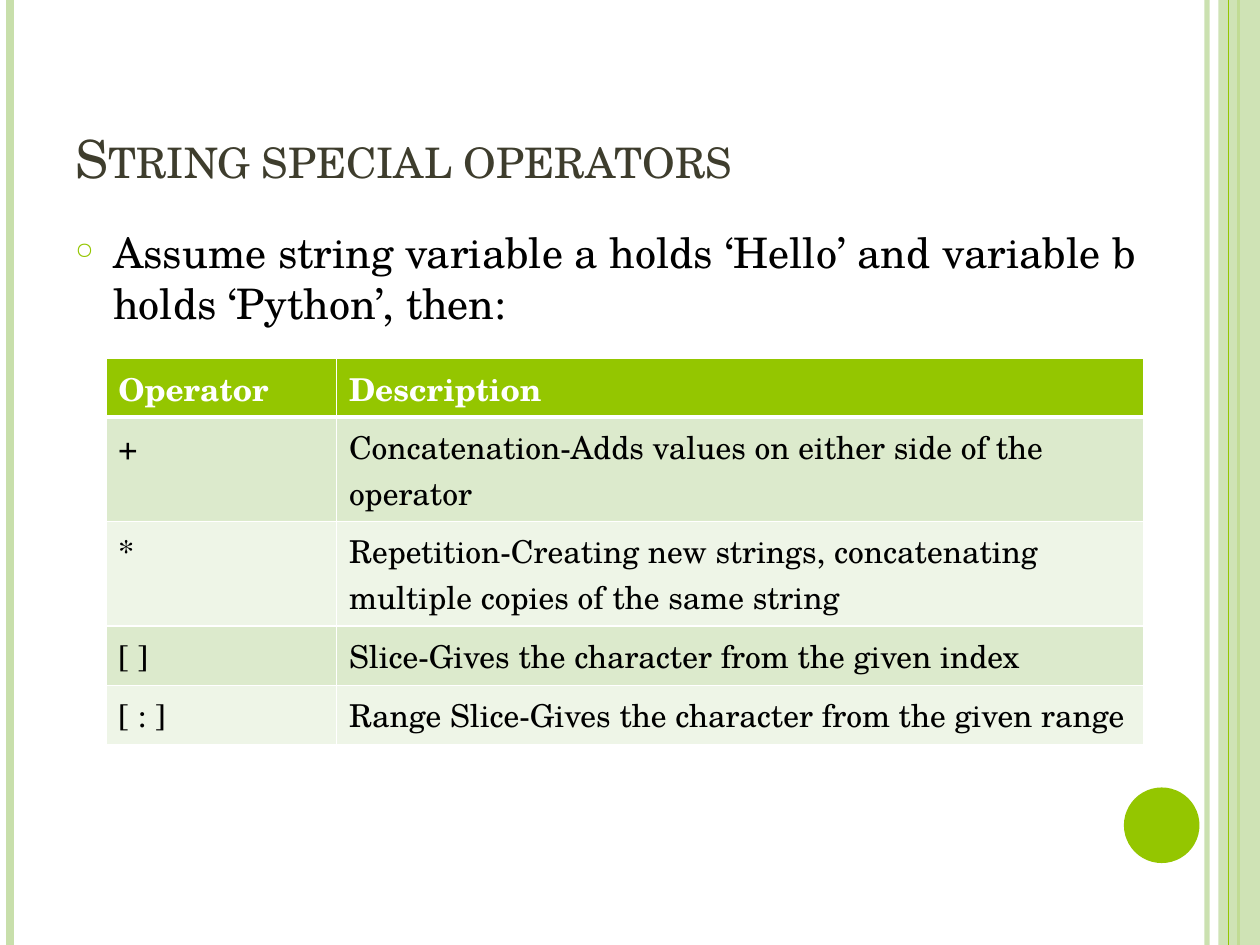
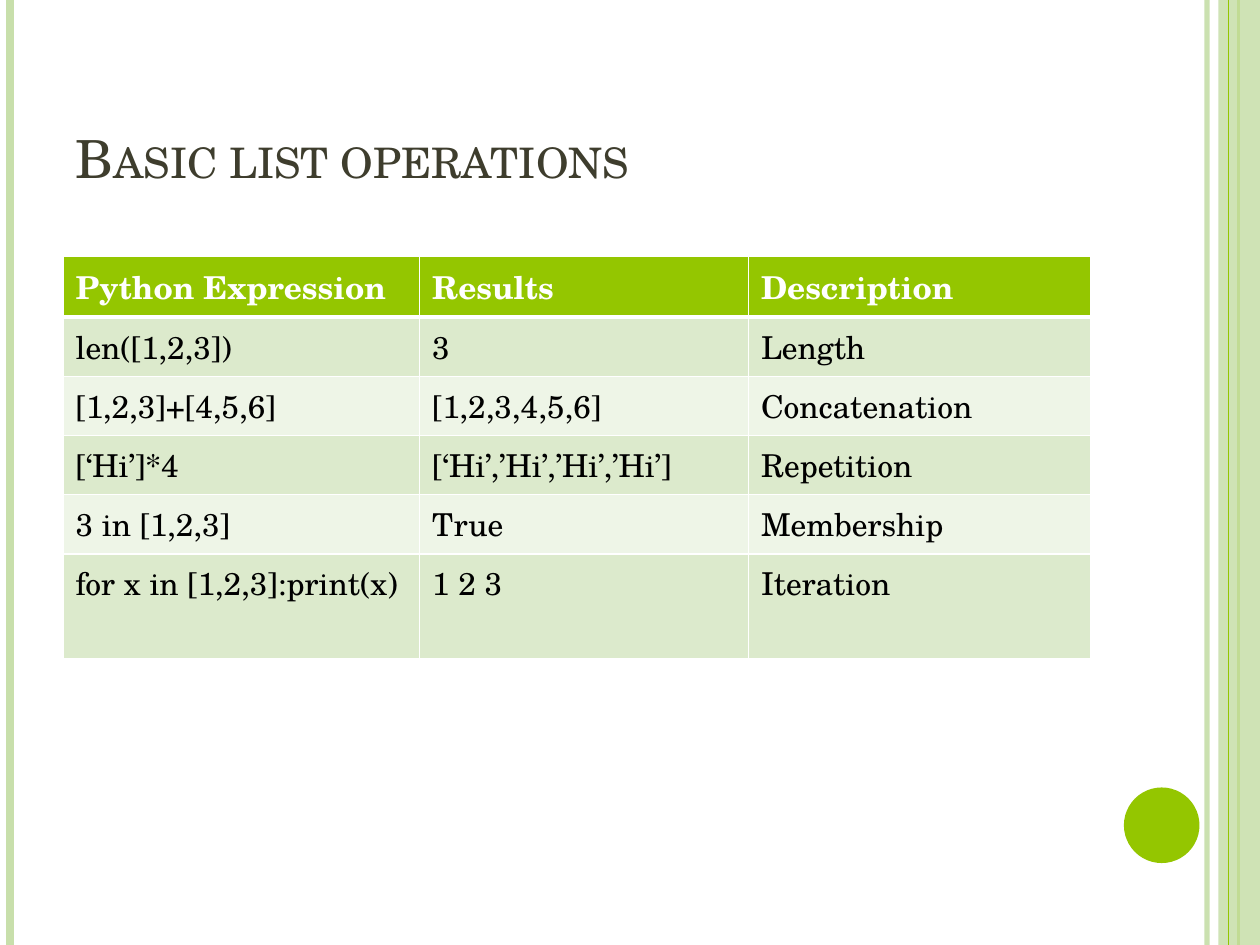
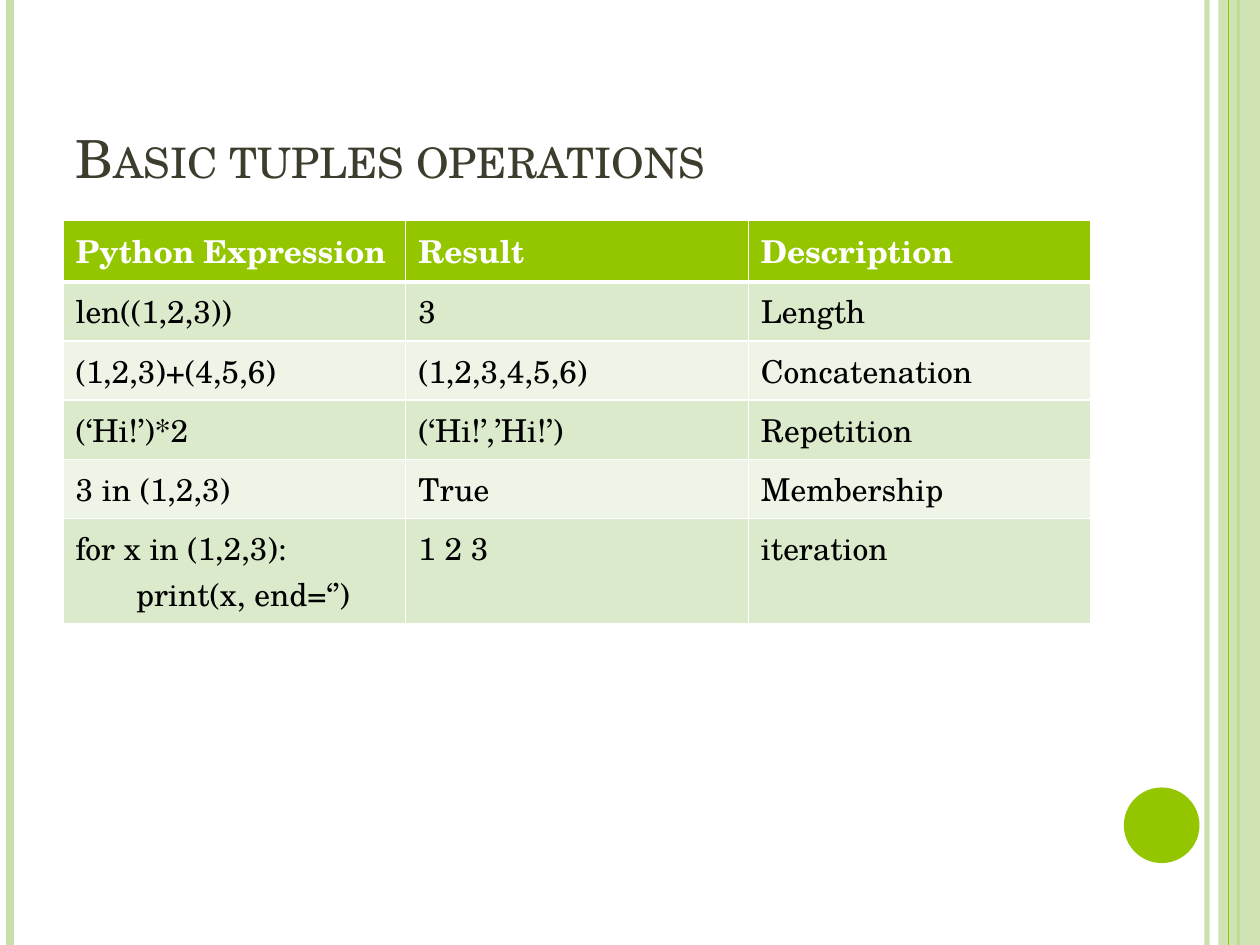
"""Build three slides of Python operator tables in a green striped theme."""
from dataclasses import dataclass

from lxml.etree import SubElement
from pptx import Presentation
from pptx.dml.color import RGBColor
from pptx.enum.shapes import MSO_CONNECTOR, MSO_SHAPE
from pptx.enum.text import MSO_ANCHOR, PP_ALIGN
from pptx.oxml.ns import qn
from pptx.util import Inches, Pt


@dataclass(frozen=True)
class Theme:
    """Colours, type sizes and font shared by all slides."""
    font: str = "TeX Gyre Schola"
    accent: str = "94C600"
    pale: str = "C8DFAB"
    heading: str = "3E3D2D"
    text: str = "000000"
    white: str = "FFFFFF"
    bands: tuple = ("DCEACC", "EEF5E7")
    title_size: int = 30
    body_size: int = 24
    table_size: int = 18


THEME = Theme()
TITLE_BOX = (0.5, 0.3, 8.17, 1.25)
ROW_HEIGHT = 0.47
TALL_ROW_HEIGHT = 0.83
CODE_INDENT = 0.48


def rgb(value):
    """Return a colour object for a hex string."""
    return RGBColor.from_string(value)


def add_run(paragraph, text, size, color, bold=False):
    """Append a formatted run and return it."""
    run = paragraph.add_run()
    run.text = text
    run.font.name = THEME.font
    run.font.size = Pt(size)
    run.font.bold = bold
    run.font.color.rgb = rgb(color)
    return run


def set_opacity(fill, percent):
    """Give a solid fill the stated opacity."""
    color = fill._xPr.find(qn("a:solidFill"))[0]
    SubElement(color, qn("a:alpha"), val=str(percent * 1000))


def add_stripe(slide, x, height, color, width, opacity=100):
    """Draw a vertical stripe from the top edge of the slide."""
    stripe = slide.shapes.add_connector(
        MSO_CONNECTOR.STRAIGHT, Inches(x), 0, Inches(x), height)
    stripe.line.color.rgb = rgb(color)
    stripe.line.width = Pt(width)
    if opacity < 100:
        set_opacity(stripe.line.fill, opacity)
    SubElement(stripe._element.spPr, qn("a:effectLst"))


def add_solid(slide, kind, box, color, opacity=100):
    """Draw a plain filled shape without outline."""
    shape = slide.shapes.add_shape(kind, *box)
    shape.shadow.inherit = False
    shape.fill.solid()
    shape.fill.fore_color.rgb = rgb(color)
    shape.line.fill.background()
    if opacity < 100:
        set_opacity(shape.fill, opacity)


def add_frame(slide, height):
    """Draw the edge stripes, the right band and the corner disc."""
    add_stripe(slide, 9.58, height, THEME.pale, 3, 93)
    add_stripe(slide, 0.08, height, THEME.pale, 4.5)
    add_stripe(slide, 9.83, height, THEME.accent, 1.5)
    band = (Inches(9.67), 0, Inches(0.33), height)
    add_solid(slide, MSO_SHAPE.RECTANGLE, band, THEME.pale, 87)
    add_stripe(slide, 9.75, height, THEME.accent, 0.75)
    disc = [Inches(value) for value in (8.92, 6.25, 0.6, 0.6)]
    add_solid(slide, MSO_SHAPE.OVAL, disc, THEME.accent)


def set_title(slide, text, box):
    """Place the title placeholder and write it in small capitals."""
    title = slide.shapes.title
    title.left, title.top, title.width, title.height = map(Inches, box)
    title.text_frame.vertical_anchor = MSO_ANCHOR.BOTTOM
    paragraph = title.text_frame.paragraphs[0]
    paragraph.alignment = PP_ALIGN.LEFT
    run = add_run(paragraph, text, THEME.title_size, THEME.heading)
    run._r.get_or_add_rPr().set("cap", "small")


def add_bullet(slide, text, box):
    """Add a text box holding one bulleted paragraph."""
    frame = slide.shapes.add_textbox(*map(Inches, box)).text_frame
    frame.word_wrap = True
    paragraph = frame.paragraphs[0]
    paragraph.space_before = Pt(6)
    properties = paragraph._p.get_or_add_pPr()
    properties.set("marL", str(Inches(0.3)))
    properties.set("indent", str(-Inches(0.3)))
    color = SubElement(properties, qn("a:buClr"))
    SubElement(color, qn("a:srgbClr"), val=THEME.accent)
    SubElement(properties, qn("a:buSzPct"), val="55000")
    SubElement(properties, qn("a:buChar"), char="○")
    add_run(paragraph, text, THEME.body_size, THEME.text)


def set_borders(cell, top, bottom):
    """Give a cell white borders with the stated top and bottom widths."""
    properties = cell._tc.get_or_add_tcPr()
    for side, width in (("L", 1), ("R", 1), ("T", top), ("B", bottom)):
        line = SubElement(properties, qn(f"a:ln{side}"), w=str(Pt(width)))
        fill = SubElement(line, qn("a:solidFill"))
        SubElement(fill, qn("a:srgbClr"), val=THEME.white)


def fill_cell(cell, text, row_index):
    """Write and colour a cell; lines after the first are indented code."""
    is_header = row_index == 0
    set_borders(cell, 3 if row_index == 1 else 1, 3 if is_header else 1)
    cell.fill.solid()
    background = THEME.accent if is_header else THEME.bands[(row_index - 1) % 2]
    cell.fill.fore_color.rgb = rgb(background)
    color = THEME.white if is_header else THEME.text
    frame = cell.text_frame
    for number, line in enumerate(text.split("\n")):
        paragraph = frame.add_paragraph() if number else frame.paragraphs[0]
        if number:
            paragraph._p.get_or_add_pPr().set("marL", str(Inches(CODE_INDENT)))
        add_run(paragraph, line, THEME.table_size, color, is_header)


def add_grid(slide, rows, left, top, widths, tall_rows):
    """Add a banded table with a header row and some two-line rows."""
    heights = [TALL_ROW_HEIGHT if index in tall_rows else ROW_HEIGHT
               for index in range(len(rows))]
    table = slide.shapes.add_table(
        len(rows), len(widths), Inches(left), Inches(top),
        Inches(sum(widths)), Inches(sum(heights))).table
    table.horz_banding = False
    for column, width in zip(table.columns, widths):
        column.width = Inches(width)
    for row_index, values in enumerate(rows):
        table.rows[row_index].height = Inches(heights[row_index])
        for column_index, text in enumerate(values):
            fill_cell(table.cell(row_index, column_index), text, row_index)


def add_titled_slide(presentation, title):
    """Add a title-only slide with the shared frame."""
    slide = presentation.slides.add_slide(presentation.slide_layouts[5])
    add_frame(slide, presentation.slide_height)
    set_title(slide, title, TITLE_BOX)
    return slide


STRING_ROWS = (
    ("Operator", "Description"),
    ("+", "Concatenation-Adds values on either side of the operator"),
    ("*", "Repetition-Creating new strings, concatenating multiple copies "
          "of the same string"),
    ("[ ]", "Slice-Gives the character from the given index"),
    ("[ : ]", "Range Slice-Gives the character from the given range"),
)
LIST_ROWS = (
    ("Python Expression", "Results", "Description"),
    ("len([1,2,3])", "3", "Length"),
    ("[1,2,3]+[4,5,6]", "[1,2,3,4,5,6]", "Concatenation"),
    ("[‘Hi’]*4", "[‘Hi’,’Hi’,’Hi’,’Hi’]", "Repetition"),
    ("3 in [1,2,3]", "True", "Membership"),
    ("for x in [1,2,3]:print(x)", "1 2 3", "Iteration"),
)
TUPLE_ROWS = (
    ("Python Expression", "Result", "Description"),
    ("len((1,2,3))", "3", "Length"),
    ("(1,2,3)+(4,5,6)", "(1,2,3,4,5,6)", "Concatenation"),
    ("(‘Hi!’)*2", "(‘Hi!’,’Hi!’)", "Repetition"),
    ("3 in (1,2,3)", "True", "Membership"),
    ("for x in (1,2,3):\nprint(x, end=‘’)", "1 2 3", "iteration"),
)


def main():
    """Build and save the presentation."""
    presentation = Presentation()
    presentation.slide_width = Inches(10)
    presentation.slide_height = Inches(7.5)

    strings = add_titled_slide(presentation, "String special operators")
    add_bullet(strings, "Assume string variable a holds ‘Hello’ and variable b "
                        "holds ‘Python’, then:", (0.5, 1.75, 9, 5.33))
    add_grid(strings, STRING_ROWS, 0.84, 2.84, (1.83, 6.41), (1, 2))

    lists = add_titled_slide(presentation, "Basic list operations")
    add_grid(lists, LIST_ROWS, 0.5, 2.03, (2.83, 2.61, 2.72), (5,))

    tuples = add_titled_slide(presentation, "Basic tuples operations")
    add_grid(tuples, TUPLE_ROWS, 0.5, 1.75, (2.72,) * 3, (5,))

    presentation.save("out.pptx")


if __name__ == "__main__":
    main()
